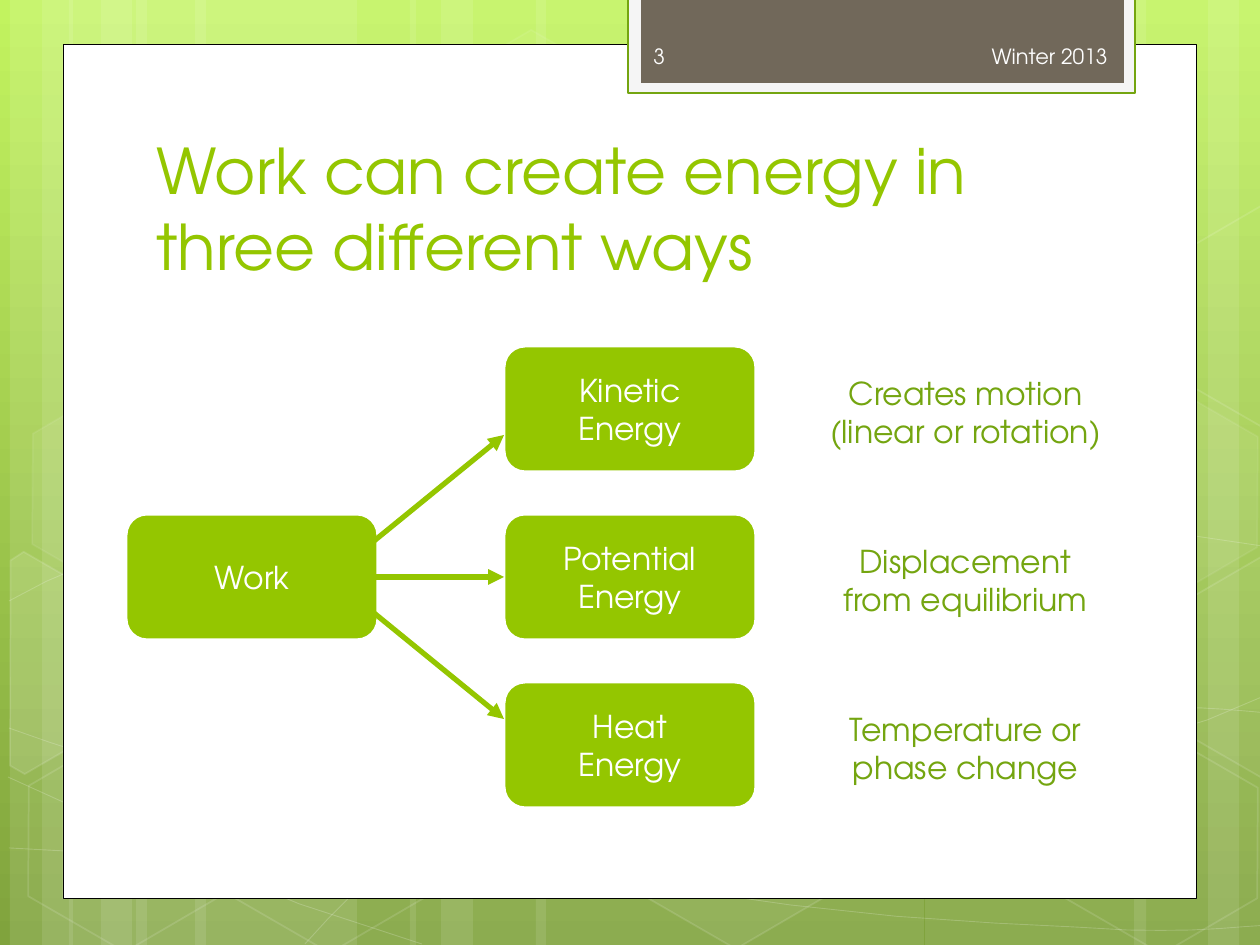
from lxml import etree
from pptx import Presentation
from pptx import util as u
from pptx.dml.color import RGBColor
from pptx.enum import shapes, text
from pptx.oxml.ns import qn

SCALE = 914400 / 126
FONT = "TeX Gyre Adventor"
WHITE, GREEN, DARK_GREEN = "FFFFFF", "94C600", "74A510"
LEFT, CENTER, RIGHT = text.PP_ALIGN.LEFT, text.PP_ALIGN.CENTER, text.PP_ALIGN.RIGHT
RECTANGLE = shapes.MSO_SHAPE.RECTANGLE

BANDS = [(136, 221, 0), (10, 63, 0), (42, 105, 0), (195, 221, 0), (69, 63, 0), (101, 105, 0),
         (925, 221, 180), (1208, 63, 180), (1134, 105, 180),
         (536, 388, 0), (410, 63, 0), (441, 105, 0)]
CURVES = [
    [(9, 848), (77, 852), (145, 856), (239, 854), (334, 853), (451, 850), (577, 838),
     (703, 825), (882, 801), (998, 777), (1113, 753), (1231, 716), (1269, 694)],
    [(9, 601), (45, 581), (82, 562), (152, 543), (224, 524), (326, 496), (437, 488),
     (549, 479), (685, 478), (824, 488), (963, 498), (1193, 537), (1269, 547)],
    [(8, 777), (160, 847), (311, 916), (422, 944)],
    [(9, 728), (48, 742), (88, 756), (161, 776), (234, 795), (344, 827), (450, 848),
     (554, 869), (687, 892), (791, 905), (896, 919), (1008, 924), (1075, 927),
     (1142, 932), (1158, 930), (1191, 930), (1223, 929), (1246, 926), (1269, 925)],
    [(305, 944), (328, 919), (350, 893), (381, 871), (411, 847), (454, 823), (489, 805),
     (524, 788), (546, 780), (591, 767), (638, 755), (722, 737), (766, 728),
     (811, 719), (818, 719), (857, 717), (896, 713), (958, 709), (1000, 708),
     (1045, 707), (1116, 708), (1116, 708), (1116, 708), (1201, 708), (1201, 708),
     (1223, 709), (1245, 711), (1256, 712), (1264, 713), (1260, 712), (1268, 713)],
]
HEXAGONS = [(421, 45, 4, 8), (625, 742, 6, 12), (14, 745, None, 12), (18, 393, 7, 8),
            (219, 746, None, 12), (949, 571, 10, 12), (1051, 747, None, 12), (1051, 396, 7, 8)]
LEFT_PART = [(-87, -82), (-80, -96), (32, -96), (87, 0), (32, 96), (15, 96)]
RIGHT_PART = [(-86, 0), (-31, -96), (-20, -96), (86, 86), (80, 96), (-31, 96)]
CUT_HEXAGONS = [(45, 675, LEFT_PART, WHITE, 10), (1241, 655, RIGHT_PART, WHITE, 4),
                (1241, 304, RIGHT_PART, None, 100)]
ENERGIES = [("Kinetic\nEnergy", ["Creates motion", "(linear or rotation)"]),
            ("Potential\nEnergy", ["Displacement", "from equilibrium"]),
            ("Heat\nEnergy", ["Temperature or phase change"])]


def px(*lengths):
    """Turn pixel lengths into EMU."""
    return [u.Emu(round(length * SCALE)) for length in lengths]


def rgb(value):
    """Turn a hex string into a colour."""
    return RGBColor.from_string(value)


def fade(element, percent):
    """Set the opacity of the solid colour inside an element."""
    color = next(element.iter(qn("a:srgbClr")))
    etree.SubElement(color, qn("a:alpha"), val=str(percent * 1000))


def style(shape, fill=None, line=None, width=1, fill_alpha=100, line_alpha=100):
    """Give a shape its fill and outline and remove its shadow."""
    shape.shadow.inherit = False
    properties = shape.element.spPr
    if fill:
        shape.fill.solid()
        shape.fill.fore_color.rgb = rgb(fill)
        if fill_alpha < 100:
            fade(properties.find(qn("a:solidFill")), fill_alpha)
    else:
        shape.fill.background()
    if line:
        shape.line.color.rgb = rgb(line)
        shape.line.width = u.Pt(width)
        if line_alpha < 100:
            fade(properties.find(qn("a:ln")), line_alpha)
    else:
        shape.line.fill.background()


def add_block(slide, box, kind=RECTANGLE, rotation=0, **look):
    """Add a styled preset shape."""
    shape = slide.shapes.add_shape(kind, *px(*box))
    shape.rotation = rotation
    style(shape, **look)
    return shape


def add_outline(slide, points, close, rotation=0, **look):
    """Add a styled freeform through the points."""
    corners = [px(*point) for point in points]
    builder = slide.shapes.build_freeform(*corners[0], scale=1.0)
    builder.add_line_segments(corners[1:], close=close)
    shape = builder.convert_to_shape()
    shape.rotation = rotation
    style(shape, **look)


def trace_curve(controls, steps=3):
    """List points along a chain of cubic Bezier segments."""
    points = [controls[0]]
    for start in range(0, len(controls) - 1, 3):
        segment = controls[start:start + 4]
        for step in range(1, steps + 1):
            t = step / steps
            weights = ((1 - t) ** 3, 3 * t * (1 - t) ** 2, 3 * t ** 2 * (1 - t), t ** 3)
            points.append(tuple(sum(w * point[axis] for w, point in zip(weights, segment))
                                for axis in (0, 1)))
    return points


def write(shape, paragraphs, size, color, align=CENTER, anchor=text.MSO_ANCHOR.MIDDLE):
    """Fill a shape with paragraphs whose newlines become line breaks."""
    frame = shape.text_frame
    frame.word_wrap = True
    frame.vertical_anchor = anchor
    for index, content in enumerate(paragraphs):
        paragraph = frame.add_paragraph() if index else frame.paragraphs[0]
        paragraph.alignment = align
        for position, line in enumerate(content.split("\n")):
            if position:
                paragraph.add_line_break()
            run = paragraph.add_run()
            run.text = line
            run.font.name = FONT
            run.font.size = u.Pt(size)
            run.font.color.rgb = rgb(color)


def add_label(slide, box, content, size, color, align=LEFT):
    """Add a text box with one paragraph."""
    write(slide.shapes.add_textbox(*px(*box)), [content], size, color, align)


def add_node(slide, left, top, content):
    """Add a rounded green box."""
    node = add_block(slide, (left, top, 252, 126), shapes.MSO_SHAPE.ROUNDED_RECTANGLE,
                     fill=GREEN, line=WHITE, width=1.75)
    write(node, [content], 18, WHITE)
    return node


def add_caption(slide, top, paragraphs):
    """Add the explanation beside an energy box."""
    caption = add_block(slide, (808, top, 315, 88), fill=WHITE)
    write(caption, paragraphs, 18, DARK_GREEN, anchor=text.MSO_ANCHOR.TOP)
    caption.text_frame.auto_size = text.MSO_AUTO_SIZE.SHAPE_TO_FIT_TEXT


def add_arrow(slide, start, end):
    """Add a green arrow."""
    arrow = slide.shapes.add_connector(shapes.MSO_CONNECTOR.STRAIGHT, *px(*start, *end))
    arrow.line.color.rgb = rgb(GREEN)
    arrow.line.width = u.Pt(3)
    properties = arrow.element.spPr
    etree.SubElement(properties.find(qn("a:ln")), qn("a:tailEnd"), type="triangle")
    etree.SubElement(properties, qn("a:effectLst"))
    return arrow


def add_backdrop(slide):
    """Draw the gradient, bands, curves and hexagons."""
    fill = slide.background.fill
    fill.gradient()
    fill.gradient_angle = 270
    for stop, color in zip(fill.gradient_stops, ("C2F35F", "80A33D")):
        stop.color.rgb = rgb(color)
    for left, width, rotation in BANDS:
        add_block(slide, (left, 0, width, 945), rotation=rotation, fill=WHITE, fill_alpha=10)
    for controls in CURVES:
        add_outline(slide, trace_curve(controls), False, line=WHITE, width=0.5, line_alpha=20)
    for left, top, fill_alpha, line_alpha in HEXAGONS:
        hexagon = add_block(slide, (left, top, 221, 192), shapes.MSO_SHAPE.HEXAGON, 30,
                            fill=WHITE if fill_alpha else None, fill_alpha=fill_alpha,
                            line=WHITE, line_alpha=line_alpha)
        hexagon.adjustments[0] = 0.285
    for center_x, center_y, offsets, fill, alpha in CUT_HEXAGONS:
        points = [(center_x + x, center_y + y) for x, y in offsets]
        add_outline(slide, points, True, 30, fill=fill, fill_alpha=alpha,
                    line=WHITE, line_alpha=12)


def add_header(slide):
    """Draw the white panel, the tab and the title."""
    add_block(slide, (63, 45, 1134, 854), fill=WHITE, line="000000", width=0.5)
    add_block(slide, (628, -3, 507, 96), fill="F5F5F5", line=DARK_GREEN, width=1.25)
    add_block(slide, (641, -3, 483, 86), fill="71685A")
    add_label(slide, (144, 115, 968, 184), "Work can create energy in three different ways", 36, GREEN)
    add_label(slide, (826, 31, 294, 50), "Winter 2013", 12, "FEFEFE", RIGHT)
    add_label(slide, (641, 31, 184, 50), "3", 12, "FEFEFE")


def add_diagram(slide):
    """Draw work leading to the three kinds of energy."""
    first_top, pitch, middle = 346, 168, 577
    add_node(slide, 126, first_top + pitch, "Work")
    for row, (name, explanation) in enumerate(ENERGIES):
        top, direction = first_top + row * pitch, row - 1
        node = add_node(slide, 504, top, name)
        arrow = add_arrow(slide, (336, middle + 5 * direction), (504, middle + 142 * direction))
        if direction == 0:
            arrow.end_connect(node, 1)
        add_caption(slide, top + 22, explanation)


def main():
    """Build and save the slide."""
    presentation = Presentation()
    presentation.slide_width, presentation.slide_height = px(1260, 945)
    slide = presentation.slides.add_slide(presentation.slide_layouts[6])
    add_backdrop(slide)
    add_header(slide)
    add_diagram(slide)
    presentation.save("out.pptx")


if __name__ == "__main__":
    main()
